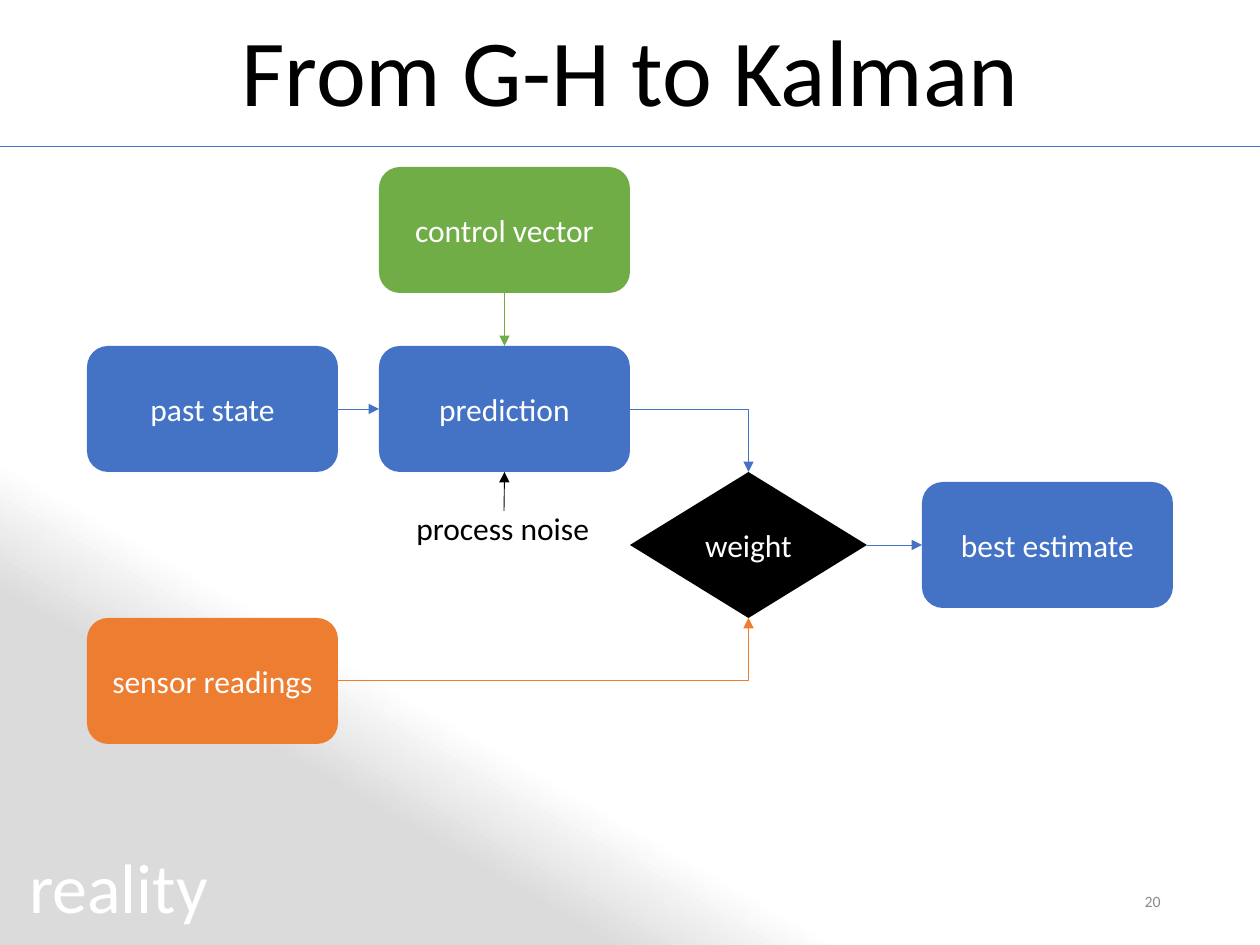
"""Build the slide that leads from the G-H filter to the Kalman filter."""
from dataclasses import dataclass

from lxml import etree
from pptx import Presentation
from pptx import util as u
from pptx.dml import color
from pptx.enum import shapes, text
from pptx.oxml import ns

PX = u.Inches(1) / 126
TOP, LEFT, BOTTOM, RIGHT = range(4)


@dataclass(frozen=True)
class Theme:
    font: str = "Calibri"
    blue: str = "4472C4"
    orange: str = "ED7D31"
    green: str = "70AD47"
    black: str = "000000"
    white: str = "FFFFFF"
    shade: str = "DBDBDB"
    muted: str = "8C8C8C"
    title: int = 54
    corner: int = 40
    body: int = 18
    footer: int = 9
    line: float = 0.5


def px(*lengths):
    return [u.Emu(round(length * PX)) for length in lengths]


def rgb(value):
    return color.RGBColor.from_string(value)


def apply(target, formats):
    for name, value in formats.items():
        setattr(target, name, value)


class Diagram:
    def __init__(self, slide, theme):
        self.slide, self.theme = slide, theme

    def fill_text(self, shape, words, size, ink, align, wrap=True,
                  anchor=text.MSO_ANCHOR.MIDDLE, spacing=None):
        frame = shape.text_frame
        apply(frame, {"word_wrap": wrap, "vertical_anchor": anchor})
        paragraph = frame.paragraphs[0]
        apply(paragraph, {"text": words, "alignment": align, "line_spacing": spacing})
        apply(paragraph.font, {"name": self.theme.font, "size": u.Pt(size)})
        paragraph.font.color.rgb = rgb(ink)

    def label(self, at, words, size, ink, align=text.PP_ALIGN.CENTER, **layout):
        box = self.slide.shapes.add_textbox(*px(*at))
        self.fill_text(box, words, size, ink, align, **layout)

    def shape(self, kind, at):
        shape = self.slide.shapes.add_shape(kind, *px(*at))
        shape.shadow.inherit = False
        shape.line.fill.background()
        return shape

    def backdrop(self, at, start, end, angle):
        fill = self.shape(shapes.MSO_SHAPE.RECTANGLE, at).fill
        fill.gradient()
        fill.gradient_angle = angle
        for stop, (position, tint) in zip(fill.gradient_stops, (start, end)):
            stop.position = position
            stop.color.rgb = rgb(tint)

    def node(self, words, at, tint, kind=shapes.MSO_SHAPE.ROUNDED_RECTANGLE):
        node = self.shape(kind, at)
        node.fill.solid()
        node.fill.fore_color.rgb = rgb(tint)
        self.fill_text(node, words, self.theme.body, self.theme.white, text.PP_ALIGN.CENTER)
        return node

    def line(self, ends, tint, arrow=False, bent=False):
        kind = shapes.MSO_CONNECTOR.ELBOW if bent else shapes.MSO_CONNECTOR.STRAIGHT
        line = self.slide.shapes.add_connector(kind, *px(*ends))
        line.line.width = u.Pt(self.theme.line)
        line.line.color.rgb = rgb(tint)
        properties = line._element.spPr
        if bent:
            properties.find(ns.qn("a:prstGeom")).set("prst", "bentConnector2")
        if arrow:
            etree.SubElement(properties.find(ns.qn("a:ln")), ns.qn("a:tailEnd"), type="triangle")
        etree.SubElement(properties, ns.qn("a:effectLst"))
        return line

    def link(self, source, source_side, target, target_side, tint, bent=False):
        ends = [length / PX for node, side in ((source, source_side), (target, target_side))
                for length in self.side_middle(node, side)]
        link = self.line(ends, tint, arrow=True, bent=bent)
        link.begin_connect(source, source_side)
        link.end_connect(target, target_side)

    @staticmethod
    def side_middle(node, side):
        across, down = {TOP: (1, 0), LEFT: (0, 1), BOTTOM: (1, 2), RIGHT: (2, 1)}[side]
        return node.left + node.width * across / 2, node.top + node.height * down / 2


def main():
    deck = Presentation()
    apply(deck, {"slide_width": u.Inches(10), "slide_height": u.Inches(7.5)})
    theme = Theme()
    diagram = Diagram(deck.slides.add_slide(deck.slide_layouts[6]), theme)

    diagram.backdrop((0, 149, 1260, 796), (0.23, theme.shade), (0.32, theme.white), 60)
    diagram.label((0, 3, 1260, 146), "From G-H to Kalman", theme.title, theme.black, spacing=0.9)
    diagram.line((0, 146, 1260, 146), theme.blue)
    diagram.label((890, 876, 283, 50), "20", theme.footer, theme.muted, text.PP_ALIGN.RIGHT)

    size = (251, 126)
    first, second, last = 87, 379, 922
    past = diagram.node("past state", (first, 346, *size), theme.blue)
    sensor = diagram.node("sensor readings", (first, 618, *size), theme.orange)
    prediction = diagram.node("prediction", (second, 346, *size), theme.blue)
    control = diagram.node("control vector", (second, 167, *size), theme.green)
    estimate = diagram.node("best estimate", (last, 482, *size), theme.blue)
    weight = diagram.node("weight", (630, 472, 237, 146), theme.black, shapes.MSO_SHAPE.DIAMOND)

    diagram.link(past, RIGHT, prediction, LEFT, theme.blue)
    diagram.link(control, BOTTOM, prediction, TOP, theme.green)
    diagram.link(weight, RIGHT, estimate, LEFT, theme.blue)
    diagram.link(prediction, RIGHT, weight, TOP, theme.blue, bent=True)
    diagram.link(sensor, RIGHT, weight, BOTTOM, theme.orange, bent=True)

    noise = diagram.line((504, 511, 504, 472), theme.black, arrow=True)
    noise.end_connect(prediction, BOTTOM)
    diagram.label((404, 503, 200, 50), "process noise", theme.body, theme.black,
                  text.PP_ALIGN.LEFT, wrap=False, anchor=text.MSO_ANCHOR.TOP)
    diagram.label((15, 837, 207, 97), "reality", theme.corner, theme.white,
                  wrap=False, anchor=text.MSO_ANCHOR.TOP)
    deck.save("out.pptx")


if __name__ == "__main__":
    main()
